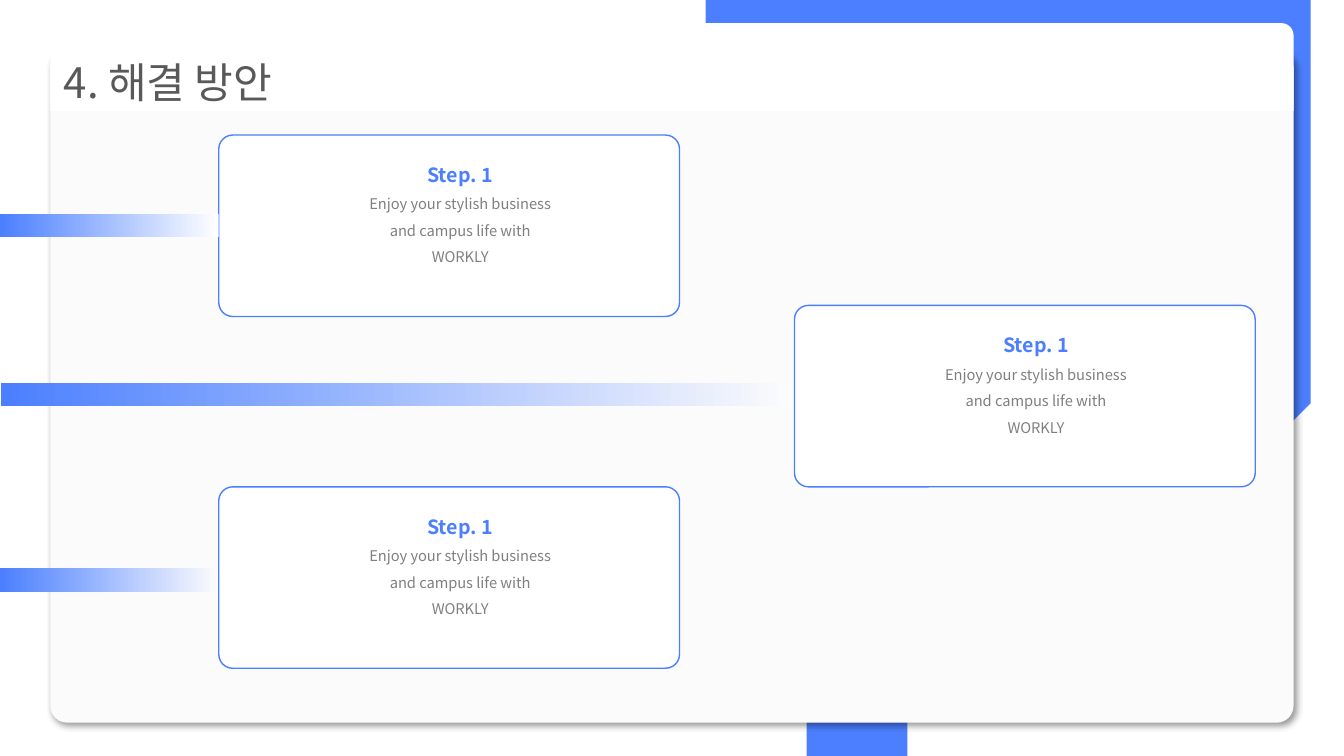
from lxml import etree
from pptx import Presentation
from pptx import util as u
from pptx.dml.color import RGBColor
from pptx.enum import shapes, text
from pptx.oxml import ns

FONT = "Noto Sans CJK KR"
BLUE = "4B7FFF"
WHITE = "FFFFFF"
CARD_WIDTH, CARD_HEIGHT = 4.57, 1.8
STEP_LINES = ["Step. 1", "Enjoy your stylish business", "and campus life with WORKLY"]

# Two values are a line's end; six values are a Bezier curve.
BACKDROP_START = (13.33, 0)
BACKDROP_SEGMENTS = [
    (13.33, 3.32), (13.05, 3.61), (12.87, 3.77), (12.82, 3.83),
    (12.78, 3.89, 12.73, 3.94, 12.67, 4), (9.76, 6.91),
    (8.97, 7.7, 7.72, 7.75, 6.87, 7.06), (6.7, 6.91), (6.55, 6.75),
    (5.86, 5.9, 5.91, 4.64, 6.7, 3.85), (8.21, 2.35), (7.87, 2.01),
    (7.38, 1.51, 7.13, 0.86, 7.13, 0.22), (7.14, 0),
]


def color(value):
    """Turn a hex string into a colour."""
    return RGBColor.from_string(value)


def paint(shape, fill, line=None):
    """Give a shape a plain fill, an optional 1 pt outline and no shadow."""
    shape.shadow.inherit = False
    shape.fill.solid()
    shape.fill.fore_color.rgb = color(fill)
    if line:
        shape.line.color.rgb = color(line)
        shape.line.width = u.Pt(1)
    else:
        shape.line.fill.background()


def add_box(slide, kind, box, fill, line=None, corners=()):
    """Add a preset shape with its corner adjustments."""
    shape = slide.shapes.add_shape(kind, *map(u.Inches, box))
    for index, corner in enumerate(corners):
        shape.adjustments[index] = corner
    paint(shape, fill, line)
    return shape


def format_paragraph(paragraph, size, font_color, bold=False):
    """Set line spacing and the font of every run."""
    paragraph.line_spacing = 1.5
    for run in paragraph.runs:
        font = run.font
        font.name, font.size, font.bold = FONT, u.Pt(size), bold
        font.color.rgb = color(font_color)
        east_asian = etree.SubElement(run._r.get_or_add_rPr(), ns.qn("a:ea"))
        east_asian.set("typeface", FONT)


def curve_points(start, controls, steps=24):
    """List the points along a cubic Bezier curve after its start."""
    points = [start, controls[:2], controls[2:4], controls[4:]]
    weights = (1, 3, 3, 1)
    return [
        tuple(sum(weight * (1 - t) ** (3 - i) * t ** i * point[axis]
                  for i, (weight, point) in enumerate(zip(weights, points)))
              for axis in (0, 1))
        for t in (step / steps for step in range(1, steps + 1))
    ]


def add_backdrop(slide):
    """Draw the rounded blue diamond behind the panel."""
    points = [BACKDROP_START]
    for segment in BACKDROP_SEGMENTS:
        points += [segment] if len(segment) == 2 else curve_points(points[-1], segment)
    builder = slide.shapes.build_freeform(*points[0], scale=u.Inches(1))
    builder.add_line_segments(points[1:], close=True)
    paint(builder.convert_to_shape(), BLUE)


def add_panel(slide):
    """Add the light panel with its soft shadow."""
    panel = add_box(slide, shapes.MSO_SHAPE.ROUNDED_RECTANGLE,
                    (0.5, 0.5, 12.33, 6.67), "FBFBFB", corners=[0.025])
    effects = panel._element.spPr.find(ns.qn("a:effectLst"))
    shadow = etree.SubElement(effects, ns.qn("a:outerShdw"), blurRad=str(u.Pt(4)),
                              dist=str(u.Pt(3)), dir=str(45 * 60000),
                              algn="tl", rotWithShape="0")
    shade = etree.SubElement(shadow, ns.qn("a:srgbClr"), val="000000")
    etree.SubElement(shade, ns.qn("a:alpha"), val="40000")


def add_header(slide, title):
    """Add the white title band."""
    header = add_box(slide, shapes.MSO_SHAPE.ROUND_2_SAME_RECTANGLE,
                     (0.5, 0.23, 12.33, 0.87), WHITE, corners=[0.137, 0])
    frame = header.text_frame
    frame.text = title
    frame.vertical_anchor = text.MSO_ANCHOR.MIDDLE
    frame.paragraphs[0].alignment = text.PP_ALIGN.LEFT
    format_paragraph(frame.paragraphs[0], 30, "595959")


def add_bar(slide, left, top, width, end_color):
    """Add a bar that fades from blue to a light right end."""
    bar = add_box(slide, shapes.MSO_SHAPE.RECTANGLE, (left, top, width, 0.23), BLUE)
    bar.fill.gradient()
    bar.fill.gradient_angle = 180
    for stop, value in zip(bar.fill.gradient_stops, (end_color, BLUE)):
        stop.color.rgb = color(value)


def add_card(slide, left, top):
    """Add an outlined card with its step text."""
    add_box(slide, shapes.MSO_SHAPE.ROUNDED_RECTANGLE,
            (left, top, CARD_WIDTH, CARD_HEIGHT), WHITE, BLUE, [0.077])
    label = slide.shapes.add_textbox(*map(u.Inches, (left + 1.39, top + 0.11, 2.01, 1.25)))
    frame = label.text_frame
    frame.word_wrap = True
    frame.auto_size = text.MSO_AUTO_SIZE.SHAPE_TO_FIT_TEXT
    frame.text = "\n".join(STEP_LINES)
    for index, paragraph in enumerate(frame.paragraphs):
        paragraph.alignment = text.PP_ALIGN.CENTER
        if index == 0:
            format_paragraph(paragraph, 14, BLUE, bold=True)
        else:
            format_paragraph(paragraph, 10.5, "808080")


def main():
    """Build and save the slide."""
    presentation = Presentation()
    presentation.slide_width = u.Inches(13.33)
    presentation.slide_height = u.Inches(7.5)
    slide = presentation.slides.add_slide(presentation.slide_layouts[6])

    add_backdrop(slide)
    add_panel(slide)
    add_card(slide, 2.17, 1.34)
    add_header(slide, "4. 해결 방안")
    add_bar(slide, 0, 2.12, 2.17, WHITE)
    add_bar(slide, 0, 5.64, 2.17, "FCFCFC")
    add_bar(slide, 0.01, 3.8, 7.87, "FCFCFC")
    add_card(slide, 2.17, 4.83)
    add_card(slide, 7.88, 3.03)

    presentation.save("out.pptx")


main()
